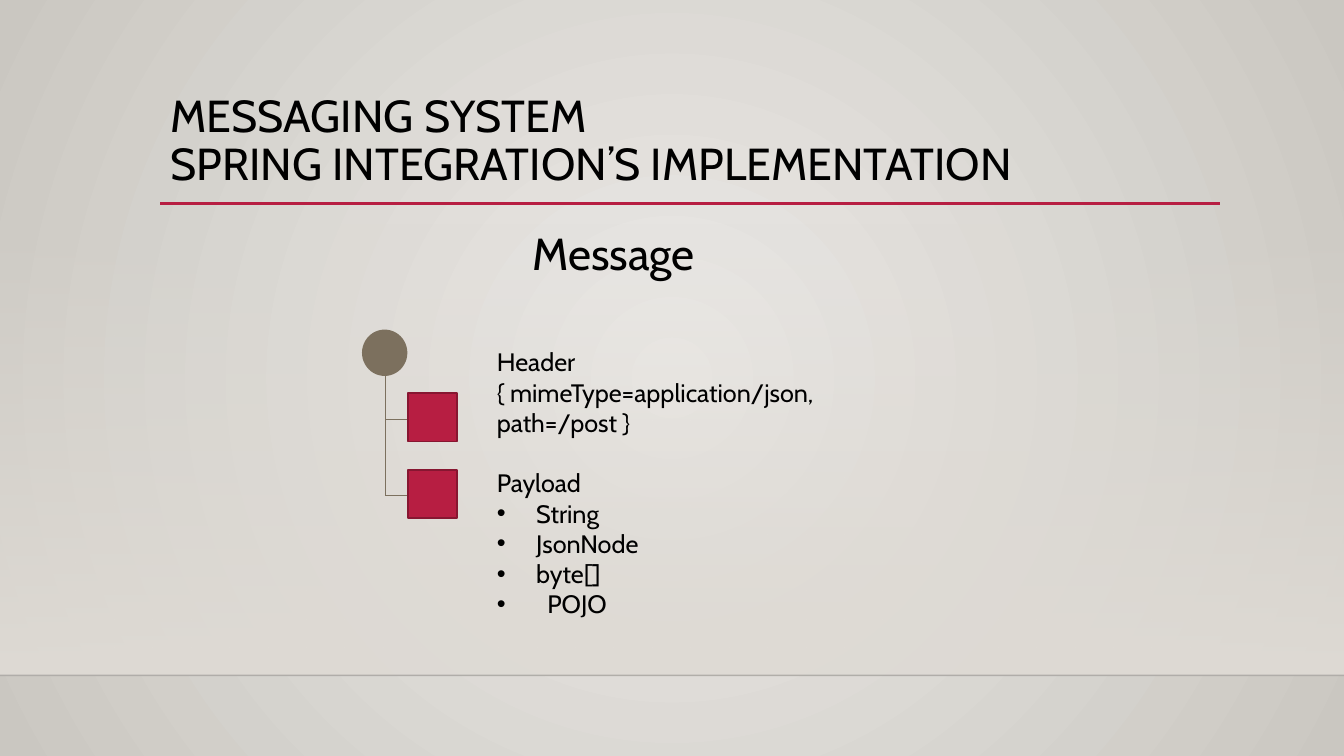
from dataclasses import dataclass

from lxml import etree
from pptx import Presentation
from pptx.dml import color
from pptx.enum import shapes, text
from pptx.oxml import ns
from pptx.util import Inches, Pt

FONT = "Cabin"
BLACK = "000000"
CRIMSON = "B71E42"
DARK_CRIMSON = "871631"
TAUPE = "7C705E"
SAND = "DFDBD5"


@dataclass
class Line:
    x1: float
    y1: float
    x2: float
    y2: float
    color: str
    width: float
    opacity: int = 100


@dataclass
class Block:
    kind: shapes.MSO_SHAPE
    left: float
    top: float
    width: float
    height: float
    fill: str
    outline: str = ""


@dataclass
class Entry:
    words: str
    indent: float = 0
    space_before: float = 0


def rgb(value: str) -> color.RGBColor:
    return color.RGBColor.from_string(value)


def add_child(parent, tag: str, **attributes):
    return etree.SubElement(parent, ns.qn(tag), attributes)


def set_gradient(fill, element, stops: list, circular: bool = False) -> None:
    """Apply stops of (position, color, opacity), all in percent."""
    fill.gradient()
    gradient = next(element.iter(ns.qn("a:gradFill")))
    for child in list(gradient):
        gradient.remove(child)
    stop_list = add_child(gradient, "a:gsLst")
    for position, value, opacity in stops:
        stop = add_child(stop_list, "a:gs", pos=str(position * 1000))
        tint = add_child(stop, "a:srgbClr", val=value)
        if opacity < 100:
            add_child(tint, "a:alpha", val=str(opacity * 1000))
    if circular:
        shade = add_child(gradient, "a:path", path="circle")
        add_child(shade, "a:fillToRect", l="50000", t="50000", r="50000", b="50000")
    else:
        add_child(gradient, "a:lin", ang="5400000", scaled="0")


def draw_line(slide, line: Line) -> None:
    connector = slide.shapes.add_connector(
        shapes.MSO_CONNECTOR.STRAIGHT,
        Inches(line.x1), Inches(line.y1), Inches(line.x2), Inches(line.y2))
    connector.line.color.rgb = rgb(line.color)
    connector.line.width = Pt(line.width)
    properties = connector._element.spPr
    if line.opacity < 100:
        tint = next(properties.iter(ns.qn("a:srgbClr")))
        add_child(tint, "a:alpha", val=str(line.opacity * 1000))
    add_child(properties, "a:effectLst")


def draw_block(slide, block: Block):
    shape = slide.shapes.add_shape(
        block.kind, Inches(block.left), Inches(block.top),
        Inches(block.width), Inches(block.height))
    shape.shadow.inherit = False
    shape.fill.solid()
    shape.fill.fore_color.rgb = rgb(block.fill)
    if block.outline:
        shape.line.color.rgb = rgb(block.outline)
        shape.line.width = Pt(1.25)
    else:
        shape.line.fill.background()
    return shape


def draw_text(slide, entries: list[Entry], *, left: float, top: float, width: float,
              height: float, size: float, line_spacing: float = 1.0) -> None:
    frame = slide.shapes.add_textbox(
        Inches(left), Inches(top), Inches(width), Inches(height)).text_frame
    frame.word_wrap = True
    frame.vertical_anchor = text.MSO_ANCHOR.TOP
    for index, entry in enumerate(entries):
        paragraph = frame.add_paragraph() if index else frame.paragraphs[0]
        paragraph.text = entry.words
        paragraph.line_spacing = line_spacing
        if entry.space_before:
            paragraph.space_before = Pt(entry.space_before)
        if entry.indent:
            properties = paragraph._p.get_or_add_pPr()
            properties.set("marL", str(Inches(entry.indent)))
            properties.set("indent", str(-Inches(entry.indent)))
            add_child(properties, "a:buFont", typeface="Arial")
            add_child(properties, "a:buChar", char="•")
        paragraph.font.name = FONT
        paragraph.font.size = Pt(size)
        paragraph.font.color.rgb = rgb(BLACK)


def main() -> None:
    presentation = Presentation()
    presentation.slide_width = Inches(13.33)
    presentation.slide_height = Inches(7.5)
    slide = presentation.slides.add_slide(presentation.slide_layouts[6])

    # Backdrop: radial glow, wall fading in, floor edge
    set_gradient(slide.background.fill, slide._element,
                 [(0, "ECEAE7", 100), (100, "CAC7C1", 100)], circular=True)
    wall = draw_block(slide, Block(shapes.MSO_SHAPE.RECTANGLE, 0, 2.21, 13.33, 4.49, SAND))
    set_gradient(wall.fill, wall._element, [(0, SAND, 0), (100, SAND, 100)])
    draw_line(slide, Line(0, 6.7, 13.33, 6.7, "000001", 1, opacity=20))

    # Title and its rule
    draw_line(slide, Line(1.59, 2.02, 12.1, 2.02, CRIMSON, 2.5))
    draw_text(slide, [Entry("MESSAGING SYSTEM\vSPRING INTEGRATION’S IMPLEMENTATION")],
              left=1.59, top=0.88, width=10.5, height=1.15, size=32, line_spacing=0.9)

    # Message tree: root, trunk, then a branch and box for each part
    trunk, box_left, box_size = 3.82, 4.05, 0.48
    branches = [(4.16, 3.9), (4.92, 4.66)]
    draw_block(slide, Block(shapes.MSO_SHAPE.OVAL, 3.59, 3.27, 0.45, 0.46, TAUPE))
    draw_line(slide, Line(trunk, 3.67, trunk, branches[-1][0], TAUPE, 0.75))
    for branch_y, box_top in branches:
        draw_line(slide, Line(trunk, branch_y, box_left, branch_y, TAUPE, 0.75))
        draw_block(slide, Block(shapes.MSO_SHAPE.RECTANGLE, box_left, box_top,
                                box_size, box_size, CRIMSON, DARK_CRIMSON))

    # Message parts
    draw_text(slide, [
        Entry("Header"),
        Entry("{ mimeType=application/json, path=/post }"),
        Entry("Payload", space_before=21.6),
        Entry("String", indent=0.39),
        Entry("JsonNode", indent=0.39),
        Entry("byte[]", indent=0.39),
        Entry("POJO", indent=0.5),
    ], left=4.83, top=3.39, width=4.56, height=2.52, size=18)
    draw_text(slide, [Entry("Message")],
              left=5.18, top=2.19, width=2.29, height=0.64, size=32)

    presentation.save("out.pptx")


if __name__ == "__main__":
    main()
